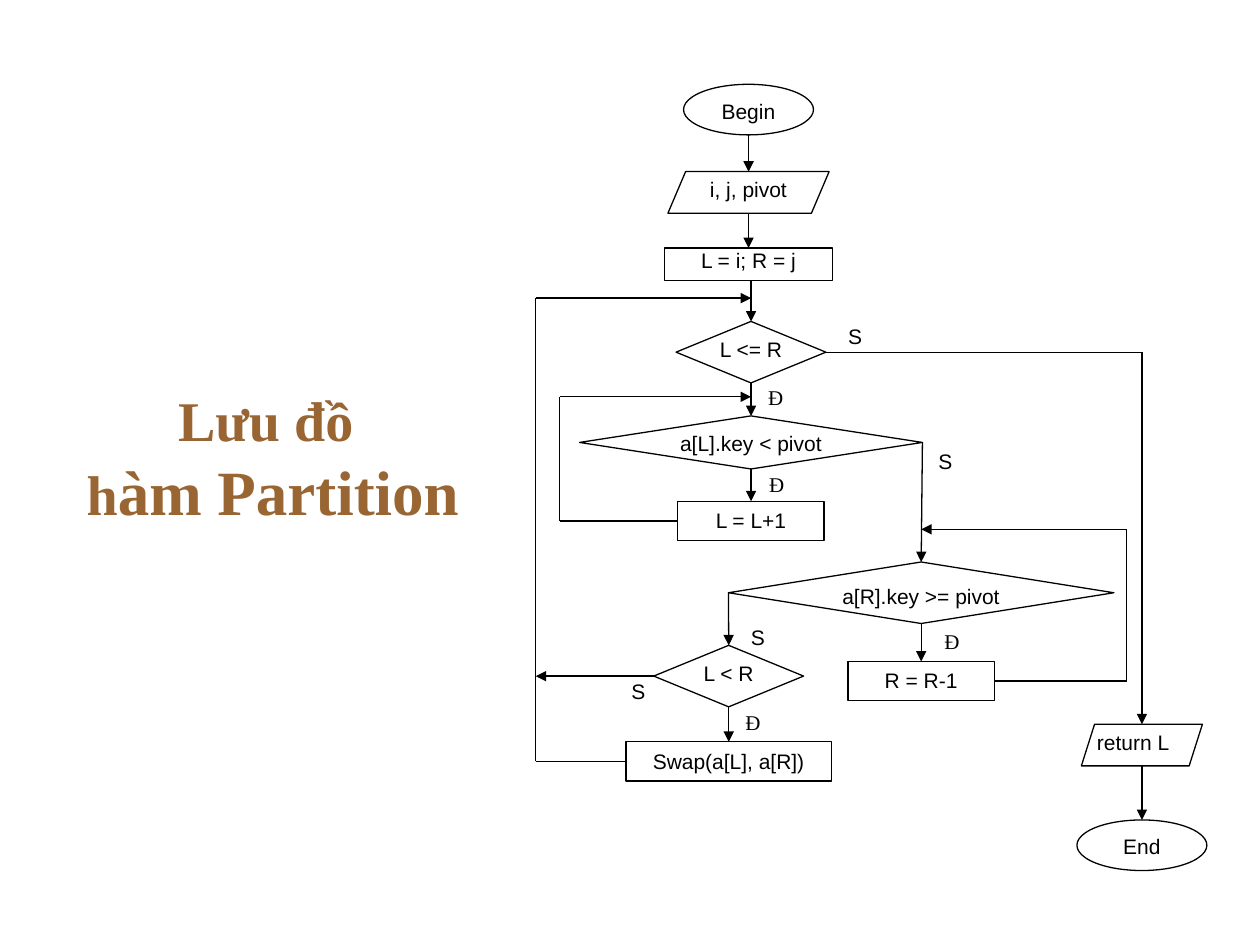
from lxml import etree
from pptx import Presentation
from pptx.dml.color import RGBColor
from pptx.enum.shapes import MSO_CONNECTOR, MSO_SHAPE
from pptx.enum.text import MSO_ANCHOR, MSO_AUTO_SIZE, PP_ALIGN
from pptx.oxml.ns import qn
from pptx.util import Cm, Pt

LEFT, CENTER = PP_ALIGN.LEFT, PP_ALIGN.CENTER
OVAL, BOX = MSO_SHAPE.OVAL, MSO_SHAPE.RECTANGLE
DATA, DECISION = MSO_SHAPE.PARALLELOGRAM, MSO_SHAPE.FLOWCHART_DECISION
TOP_SIDE, LEFT_SIDE, BOTTOM_SIDE, RIGHT_SIDE = range(4)
SANS, SERIF = "Arial", "Times New Roman"
BLACK, WHITE, BROWN = "000000", "FFFFFF", "996633"

# Columns of the flowchart, in cm
START_X, MAIN_X, RIGHT_X, SWAP_X, END_X = 15.09, 15.14, 18.57, 14.69, 23.02
OUTER_X, INNER_X, BACK_X = 10.8, 11.28, 22.71
OUTER_Y, INNER_Y, BACK_Y = 6.01, 8.0, 10.67

NO_INSET, THIN, FULL = (0, 0), (0, 0.03), (0.25, 0.13)

TITLE = [("Lưu đồ ", 32), ("\n", 32), ("h", 32), ("àm Partition", 36)]

# key: text, kind, centre x, centre y, width, height, insets (side, top)
NODES = {
    "begin": ("Begin", OVAL, START_X, 2.21, 2.62, 1.02, FULL),
    "input": ("i, j, pivot", DATA, START_X, 3.88, 3.25, 0.84, NO_INSET),
    "init": ("L = i; R = j", BOX, START_X, 5.33, 3.4, 0.66, NO_INSET),
    "outer": ("L <= R", DECISION, MAIN_X, 7.1, 3.02, 1.24, NO_INSET),
    "left": ("a[L].key < pivot", DECISION, MAIN_X, 8.92, 6.91, 1.07, THIN),
    "next": ("L = L+1", BOX, MAIN_X, 10.5, 2.95, 0.79, FULL),
    "right": ("a[R].key >= pivot", DECISION, RIGHT_X, 11.95, 7.77, 1.24, FULL),
    "previous": ("R = R-1", BOX, RIGHT_X, 13.73, 2.95, 0.79, FULL),
    "inner": ("L < R", DECISION, SWAP_X, 13.63, 3.02, 1.24, NO_INSET),
    "swap": ("Swap(a[L], a[R])", BOX, SWAP_X, 15.35, 4.14, 0.79, FULL),
    "return": ("return L", DATA, END_X, 15.02, 2.44, 0.84, NO_INSET),
    "end": ("End", OVAL, END_X, 17.04, 2.62, 1.02, FULL),
}
SLANTS = {"input": 0.425, "return": 0.317}
LEFT_ALIGNED = {"return"}

# text, font, left, top
LABELS = [
    ("S", SANS, 16.87, 6.53), ("Đ", SERIF, 15.27, 7.75),
    ("S", SANS, 18.69, 9.04), ("Đ", SERIF, 15.29, 9.5),
    ("S", SANS, 14.91, 12.6), ("Đ", SERIF, 18.82, 12.67),
    ("S", SANS, 12.5, 13.67), ("Đ", SERIF, 14.81, 14.3),
]
LABEL_SIZE = (0.74, 0.48)

# begin, end, has arrowhead; an end is (node key, side) or (x, y)
LINES = [
    ((START_X, 2.72), (START_X, 3.46), True),
    ((START_X, 4.3), ("init", TOP_SIDE), True),
    ((MAIN_X, 5.66), ("outer", TOP_SIDE), True),
    (("outer", BOTTOM_SIDE), ("left", TOP_SIDE), True),
    (("left", BOTTOM_SIDE), ("next", TOP_SIDE), True),
    (("left", RIGHT_SIDE), ("right", TOP_SIDE), True),
    (("right", BOTTOM_SIDE), ("previous", TOP_SIDE), True),
    (("right", LEFT_SIDE), ("inner", TOP_SIDE), True),
    (("inner", BOTTOM_SIDE), ("swap", TOP_SIDE), True),
    (("inner", LEFT_SIDE), (OUTER_X, 13.63), True),
    # Loop back to L <= R
    (("swap", LEFT_SIDE), (OUTER_X, 15.35), False),
    ((OUTER_X, 15.35), (OUTER_X, OUTER_Y), False),
    ((OUTER_X, OUTER_Y), (MAIN_X, OUTER_Y), True),
    # Loop back to a[L].key
    (("next", LEFT_SIDE), (INNER_X, 10.5), False),
    ((INNER_X, 10.5), (INNER_X, INNER_Y), False),
    ((INNER_X, INNER_Y), (MAIN_X, INNER_Y), True),
    # Loop back to a[R].key
    (("previous", RIGHT_SIDE), (BACK_X, 13.73), False),
    ((BACK_X, 13.73), (BACK_X, BACK_Y), False),
    ((BACK_X, BACK_Y), (RIGHT_X, BACK_Y), True),
    # Way out
    (("outer", RIGHT_SIDE), (END_X, 7.1), False),
    ((END_X, 7.1), (END_X, 14.6), True),
    ((END_X, 15.44), (END_X, 16.53), True),
]


def color(hex_value):
    return RGBColor.from_string(hex_value)


def set_font(font, **values):
    for name, value in values.items():
        setattr(font, name, value)


def write(shape, text, font_name, insets=NO_INSET, align=CENTER):
    frame = shape.text_frame
    side, top = map(Cm, insets)
    layout = {"margin_left": side, "margin_right": side, "margin_top": top,
              "margin_bottom": top, "vertical_anchor": MSO_ANCHOR.TOP,
              "word_wrap": True}
    for name, value in layout.items():
        setattr(frame, name, value)
    paragraph = frame.paragraphs[0]
    paragraph.alignment = align
    run = paragraph.add_run()
    run.text = text
    set_font(run.font, name=font_name, size=Pt(12))
    run.font.color.rgb = color(BLACK)


def paint(shape):
    shape.fill.solid()
    shape.fill.fore_color.rgb = color(WHITE)


def add_title(slide):
    title = slide.shapes.title
    title.left, title.top, title.width, title.height = map(Cm, (0, 7.62, 11, 3.18))
    frame = title.text_frame
    frame.vertical_anchor = MSO_ANCHOR.MIDDLE
    frame.auto_size = MSO_AUTO_SIZE.NONE
    paragraph = frame.paragraphs[0]
    paragraph.alignment = CENTER
    for text, size in TITLE:
        if text == "\n":
            paragraph.add_line_break()
            continue
        run = paragraph.add_run()
        run.text = text
        set_font(run.font, name=SERIF, size=Pt(size), bold=True)
        run.font.color.rgb = color(BROWN)


def add_node(slide, key):
    text, kind, x, y, width, height, insets = NODES[key]
    node = slide.shapes.add_shape(
        kind, *map(Cm, (x - width / 2, y - height / 2, width, height)))
    if key in SLANTS:
        node.adjustments[0] = SLANTS[key]
    node.shadow.inherit = False
    paint(node)
    node.line.color.rgb = color(BLACK)
    node.line.width = Pt(0.75)
    write(node, text, SANS, insets, LEFT if key in LEFT_ALIGNED else CENTER)
    return node


def add_line(slide, nodes, begin, end, has_arrow):
    points = [(0, 0) if spot[0] in nodes else spot for spot in (begin, end)]
    line = slide.shapes.add_connector(
        MSO_CONNECTOR.STRAIGHT, *(Cm(v) for point in points for v in point))
    for spot, connect in ((begin, line.begin_connect), (end, line.end_connect)):
        if spot[0] in nodes:
            connect(nodes[spot[0]], spot[1])
    line.line.color.rgb = color(BLACK)
    line.line.width = Pt(0.75)
    if has_arrow:
        etree.SubElement(line.line._get_or_add_ln(), qn("a:tailEnd"), type="triangle")
    etree.SubElement(line._element.spPr, qn("a:effectLst"))


def main():
    deck = Presentation()
    deck.slide_width, deck.slide_height = Cm(25.4), Cm(19.05)
    slide = deck.slides.add_slide(deck.slide_layouts[5])
    add_title(slide)
    nodes = {key: add_node(slide, key) for key in NODES}
    for text, font_name, left, top in LABELS:
        label = slide.shapes.add_textbox(*map(Cm, (left, top, *LABEL_SIZE)))
        paint(label)
        write(label, text, font_name)
    for begin, end, has_arrow in LINES:
        add_line(slide, nodes, begin, end, has_arrow)
    deck.save("out.pptx")


if __name__ == "__main__":
    main()
